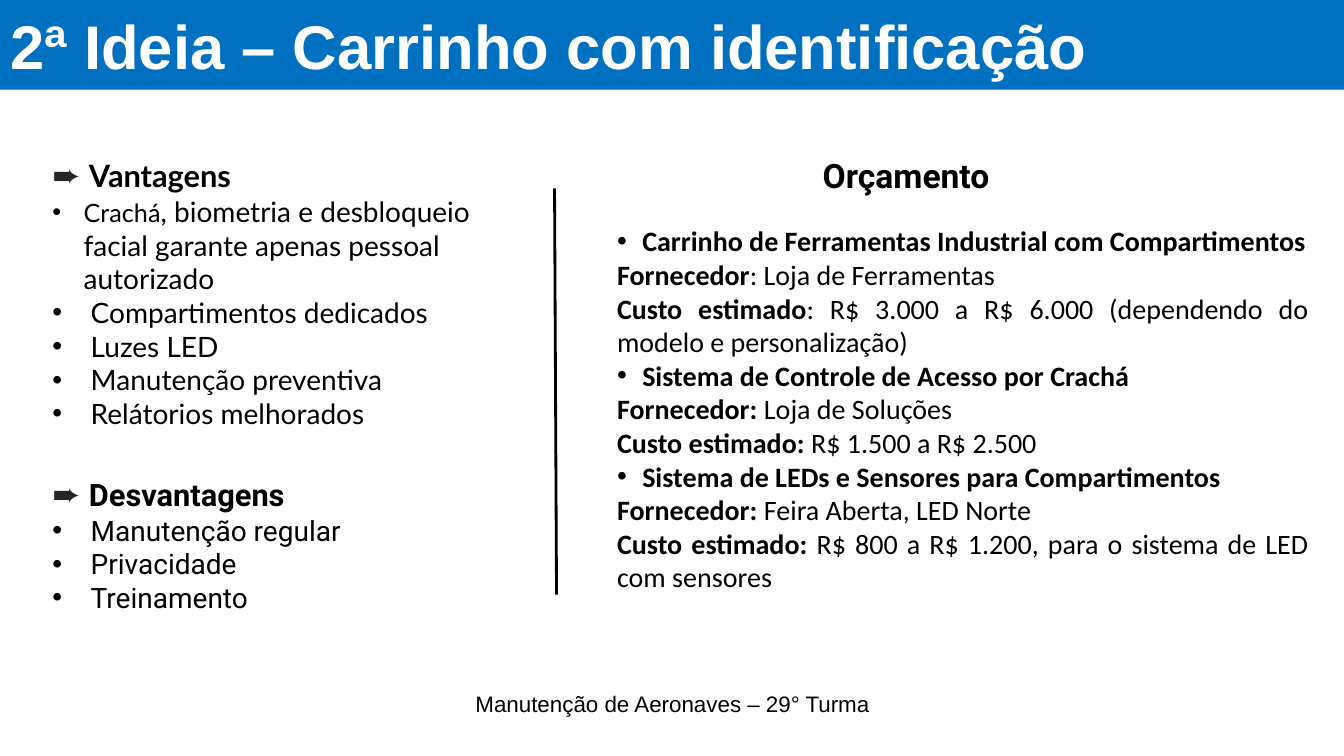
from lxml import etree
from pptx import Presentation
from pptx.dml.color import RGBColor
from pptx.enum.shapes import MSO_CONNECTOR
from pptx.enum.text import MSO_ANCHOR, MSO_AUTO_SIZE, PP_ALIGN
from pptx.oxml.ns import qn
from pptx.util import Inches, Pt

LEFT, CENTER, JUST = PP_ALIGN.LEFT, PP_ALIGN.CENTER, PP_ALIGN.JUSTIFY
TOP, MIDDLE = MSO_ANCHOR.TOP, MSO_ANCHOR.MIDDLE
FIXED = MSO_AUTO_SIZE.NONE
STRAIGHT = MSO_CONNECTOR.STRAIGHT
COLORS = {"bar": "0070C0", "light": "FFFFFF", "text": "000000", "arrow": "262626"}

PROS = [
    "Compartimentos dedicados",
    "Luzes LED",
    "Manutenção preventiva",
    "Relátorios melhorados",
]
CONS = ["Manutenção regular", "Privacidade", "Treinamento"]
BUDGET = [
    ("Carrinho de Ferramentas Industrial com Compartimentos",
     ("Fornecedor", ": Loja de Ferramentas"),
     ("Custo estimado", ": R$ 3.000 a R$ 6.000 (dependendo do modelo e personalização)")),
    ("Sistema de Controle de Acesso por Crachá",
     ("Fornecedor: ", "Loja de Soluções"),
     ("Custo estimado:", " R$ 1.500 a R$ 2.500")),
    ("Sistema de LEDs e Sensores para Compartimentos",
     ("Fornecedor:", " Feira Aberta, LED Norte"),
     ("Custo estimado:", " R$ 800 a R$ 1.200, para o sistema de LED com sensores")),
]


def color(name):
    """Return the named colour."""
    return RGBColor.from_string(COLORS[name])


def run(text, size=20, font="Lato", bold=False, tint="text"):
    """Describe a run of text."""
    form = {"size": Pt(size), "name": font, "bold": bold}
    return text, form, tint


def place(shape, box, anchor=TOP):
    """Move a shape to its box and set up its text frame."""
    for name, value in zip(("left", "top", "width", "height"), box):
        setattr(shape, name, Inches(value))
    form = {"word_wrap": True, "auto_size": FIXED, "vertical_anchor": anchor}
    for name, value in form.items():
        setattr(shape.text_frame, name, value)


def write(shape, rows, align=LEFT):
    """Fill a shape with rows of (bullet indent, runs)."""
    frame = shape.text_frame
    for i, (indent, runs) in enumerate(rows):
        para = frame.add_paragraph() if i else frame.paragraphs[0]
        form = {"alignment": align, "space_before": Pt(0), "space_after": Pt(0)}
        for name, value in form.items():
            setattr(para, name, value)
        props = para._p.get_or_add_pPr()
        props.set("marL", str(Inches(indent)))
        props.set("indent", str(-Inches(indent)))
        if indent:
            etree.SubElement(props, qn("a:buFont"), typeface="Arial")
            etree.SubElement(props, qn("a:buChar"), char="•")
        else:
            etree.SubElement(props, qn("a:buNone"))
        for text, look, tint in runs:
            part = para.add_run()
            part.text = text
            for name, value in look.items():
                setattr(part.font, name, value)
            part.font.color.rgb = color(tint)


def add_title(shape, box):
    """Set the title on its blue bar."""
    place(shape, box, MIDDLE)
    shape.fill.solid()
    shape.fill.fore_color.rgb = color("bar")
    text = "2ª Ideia – Carrinho com identificação"
    write(shape, [(0, [run(text, 44, "Arial", True, "light")])])


def add_list(shape, box, head, font, rows):
    """Set a list under a heading with an arrow."""
    place(shape, box)
    top = [run("➨ ", 24, "Roboto", tint="arrow"), run(head, 22, font, True)]
    write(shape, [(0, top)] + rows)


def add_budget(head, body, box):
    """Set the budget heading and its items."""
    left, top, width, height = box
    place(head, (left + 2.04, top, 3, 0.5))
    write(head, [(0, [run("Orçamento", 24, "Roboto", True)])])
    place(body, (left, top + 0.68, width, height - 0.68))
    rows = []
    for item, *facts in BUDGET:
        rows.append((0.25, [run(item, font="Calibri", bold=True)]))
        for label, value in facts:
            rows.append((0, [run(label, font="Calibri", bold=True),
                             run(value, font="Calibri")]))
    write(body, rows, JUST)


def add_rule(slide, box):
    """Draw the line between the columns."""
    left, top, width, height = map(Inches, box)
    line = slide.shapes.add_connector(STRAIGHT, left, top, left + width, top + height)
    line.line.width = Pt(2)
    line.line.color.rgb = color("text")
    etree.SubElement(line._element.spPr, qn("a:effectLst"))


def add_foot(slide, box):
    """Write the class name at the bottom."""
    foot = slide.shapes.add_textbox(*map(Inches, box))
    place(foot, box, MIDDLE)
    write(foot, [(0, [run("Manutenção de Aeronaves – 29° Turma", 16, "Arial")])], CENTER)


def main():
    """Build and save the slide."""
    deck = Presentation()
    deck.slide_width, deck.slide_height = Inches(13.33), Inches(7.5)
    slide = deck.slides.add_slide(deck.slide_layouts.get_by_name("Comparison"))
    title, head, pros, cons, body = slide.placeholders
    add_title(title, (0, 0, 13.33, 0.89))
    first = [run("Crachá", 18),
             run(", biometria e desbloqueio facial garante apenas pessoal autorizado")]
    rows = [(0.31, first)] + [(0.38, [run(text)]) for text in PROS]
    add_list(pros, (0.42, 1.48, 4.86, 2.52), "Vantagens", "Lato", rows)
    rows = [(0.38, [run(text, font="Roboto")]) for text in CONS]
    add_list(cons, (0.42, 4.64, 3.87, 1.85), "Desvantagens", "Roboto", rows)
    add_budget(head, body, (6.02, 1.49, 7.06, 4.48))
    add_rule(slide, (5.5, 1.87, 0.02, 4.03))
    add_foot(slide, (4.42, 6.78, 4.5, 0.4))
    deck.save("out.pptx")


if __name__ == "__main__":
    main()
